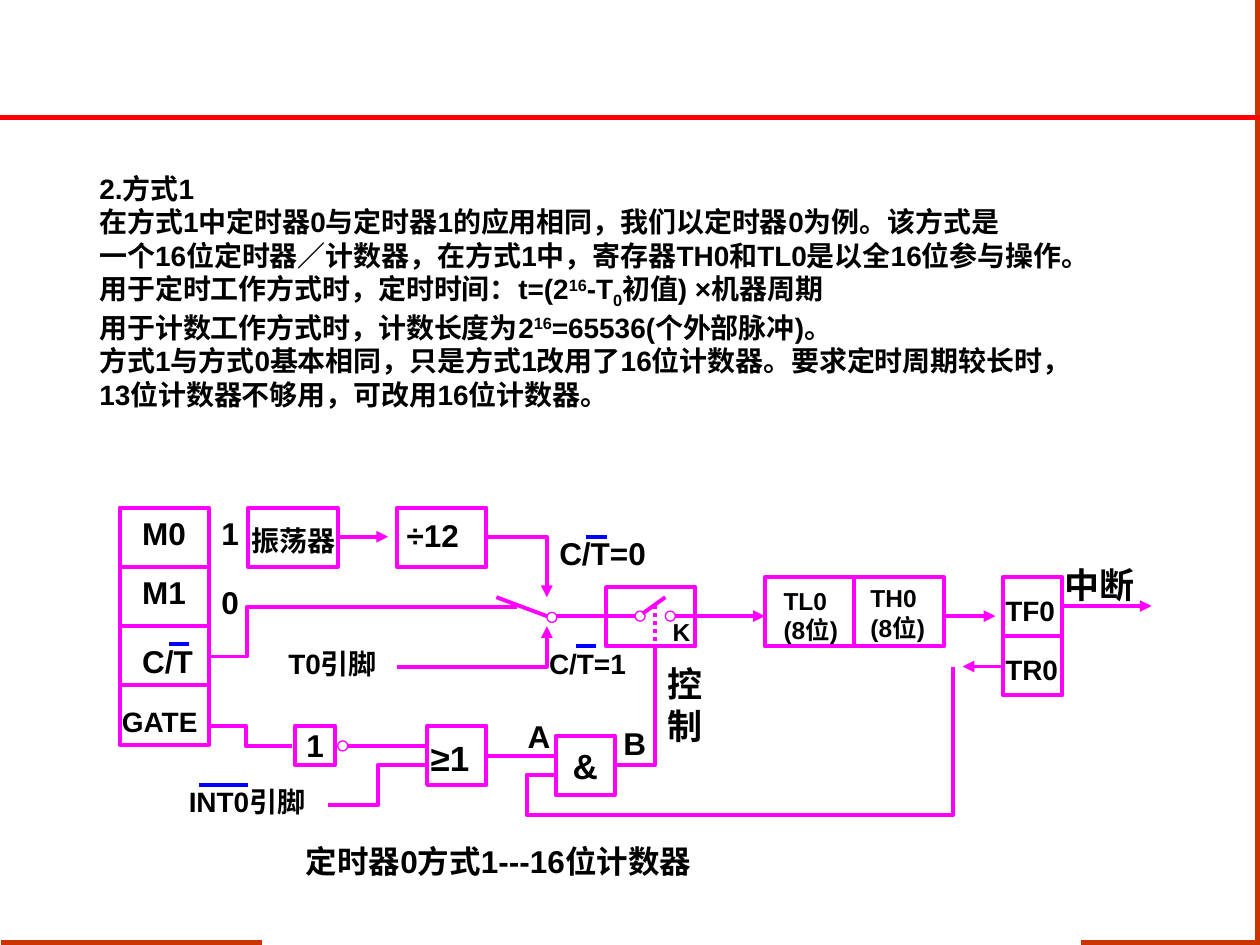
from dataclasses import dataclass
from typing import Optional

from lxml.etree import SubElement
from pptx import Presentation
from pptx.dml.color import RGBColor
from pptx.enum.dml import MSO_LINE
from pptx.enum.shapes import MSO_CONNECTOR, MSO_SHAPE
from pptx.enum.text import MSO_ANCHOR, MSO_AUTO_SIZE, PP_ALIGN
from pptx.oxml.ns import qn
from pptx.util import Emu, Pt

SCALE = 9144
COLORS = {"frame": "CC3300", "rule": "FF0000", "wire": "FF00FF", "overline": "0000FF", "text": "000000"}
FONT_NAME = "Arial"
SUPERSCRIPT, SUBSCRIPT = 30000, -25000
LABEL_SLACK = 6


@dataclass
class Box:
    left: int
    top: int
    width: int
    height: int
    text: str = ""
    size: int = 18
    kind: MSO_SHAPE = MSO_SHAPE.RECTANGLE
    weight: float = 2.25


@dataclass
class Label:
    left: int
    top: int
    width: int
    height: int
    text: str
    size: int = 18


@dataclass
class Wire:
    points: list[tuple[int, int]]
    arrow: bool = False
    color: str = "wire"
    weight: float = 2.25
    dash: Optional[MSO_LINE] = None


BODY = [
    [("2.方式1", 0)],
    [("在方式1中定时器0与定时器1的应用相同，我们以定时器0为例。该方式是", 0)],
    [("一个16位定时器／计数器，在方式1中，寄存器TH0和TL0是以全16位参与操作。", 0)],
    [("用于定时工作方式时，定时时间：t=(2", 0), ("16", SUPERSCRIPT), ("-T", 0), ("0", SUBSCRIPT),
     ("初值) ×机器周期", 0)],
    [("用于计数工作方式时，计数长度为2", 0), ("16", SUPERSCRIPT), ("=65536(个外部脉冲)。", 0)],
    [("方式1与方式0基本相同，只是方式1改用了16位计数器。要求定时周期较长时，", 0)],
    [("13位计数器不够用，可改用16位计数器。", 0)],
]

FRAME = [
    Wire([(208, 748), (1, 748)], color="frame", weight=3),
    Wire([(998, 750), (998, 0)], color="frame", weight=3),
    Wire([(996, 748), (858, 748)], color="frame", weight=3),
    Wire([(1000, 93), (0, 93)], color="rule", weight=3),
]

BOXES = [
    *[Box(95, 403 + 47 * row, 71, 47) for row in range(4)],
    *[Box(left, 403, 71, 47) for left in (197, 315)],
    Box(481, 466, 71, 47),
    *[Box(left, 458, 71, 55) for left in (607, 678)],
    *[Box(796, top, 47, 47) for top in (458, 505)],
    Box(339, 576, 47, 47),
    Box(441, 584, 47, 47, "&", 20),
    Box(234, 576, 32, 31, "1"),
    *[Box(left, top, 8, 8, kind=MSO_SHAPE.OVAL, weight=0.75)
      for left, top in ((268, 588), (434, 486), (504, 485), (528, 485))],
]

WIRES = [
    Wire([(268, 426), (308, 426)], arrow=True),
    Wire([(166, 521), (196, 521), (196, 482), (410, 482)]),
    Wire([(386, 426), (434, 426), (434, 474)], arrow=True),
    Wire([(441, 489), (504, 489)]),
    Wire([(315, 529), (434, 529), (434, 497)], arrow=True),
    Wire([(536, 489), (607, 489)], arrow=True),
    Wire([(166, 576), (195, 576), (195, 592), (232, 592)]),
    Wire([(276, 592), (339, 592)]),
    Wire([(339, 607), (300, 607), (300, 639), (260, 639)]),
    Wire([(386, 600), (441, 600)]),
    Wire([(520, 513), (520, 607), (489, 607)]),
    Wire([(441, 615), (418, 615), (418, 647), (756, 647), (756, 529)]),
    Wire([(796, 529), (764, 529)], arrow=True),
    Wire([(751, 489), (790, 489)], arrow=True),
    Wire([(394, 474), (434, 489)]),
    Wire([(528, 474), (510, 487)]),
    Wire([(520, 521), (520, 481)], dash=MSO_LINE.ROUND_DOT),
    Wire([(843, 481), (914, 481)], arrow=True),
    *[Wire([(start, top), (end, top)], color="overline")
      for start, end, top in ((465, 482, 426), (134, 150, 511), (457, 473, 513), (158, 197, 623))],
]

LABELS = [
    Label(103, 403, 54, 40, "M0"),
    Label(103, 450, 54, 40, "M1"),
    Label(103, 505, 60, 40, "C/T"),
    Label(87, 554, 81, 37, "GATE", 16),
    Label(190, 411, 86, 37, "振荡器", 16),
    Label(313, 405, 61, 40, "÷12"),
    Label(219, 508, 95, 37, "T0引脚", 16),
    Label(612, 460, 72, 57, "TL0\n(8位)", 14),
    Label(681, 458, 72, 57, "TH0\n(8位)", 14),
    Label(332, 580, 51, 44, "≥1", 20),
    Label(788, 466, 79, 37, "TF0", 16),
    Label(788, 513, 79, 37, "TR0", 16),
    Label(434, 419, 89, 40, "C/T=0"),
    Label(426, 508, 81, 37, "C/T=1", 16),
    Label(140, 618, 117, 37, "INT0引脚", 16),
    Label(524, 485, 34, 34, "K", 14),
    Label(409, 564, 38, 40, "A"),
    Label(485, 570, 38, 40, "B"),
    Label(166, 403, 34, 40, "1"),
    Label(166, 458, 34, 40, "0"),
    Label(520, 521, 48, 77, "控\n制", 20),
    Label(835, 442, 98, 44, "中断", 20),
    Label(233, 663, 349, 40, "定时器0方式1---16位计数器"),
]


def px(value: int) -> Emu:
    return Emu(value * SCALE)


def color(name: str) -> RGBColor:
    return RGBColor.from_string(COLORS[name])


def format_text(text_frame, size: int, alignment: PP_ALIGN = PP_ALIGN.LEFT) -> None:
    for paragraph in text_frame.paragraphs:
        paragraph.alignment = alignment
        for run in paragraph.runs:
            run.font.name = FONT_NAME
            run.font.size = Pt(size)
            run.font.bold = True
            run.font.color.rgb = color("text")


def draw_box(slide, box: Box) -> None:
    shape = slide.shapes.add_shape(box.kind, px(box.left), px(box.top), px(box.width), px(box.height))
    shape.shadow.inherit = False
    shape.fill.background()
    shape.line.color.rgb = color("wire")
    shape.line.width = Pt(box.weight)
    if box.text:
        text_frame = shape.text_frame
        text_frame.text = box.text
        text_frame.word_wrap = False
        text_frame.vertical_anchor = MSO_ANCHOR.MIDDLE
        format_text(text_frame, box.size, PP_ALIGN.CENTER)


def draw_wire(slide, wire: Wire) -> None:
    start, *rest = wire.points
    if len(rest) == 1:
        shape = slide.shapes.add_connector(MSO_CONNECTOR.STRAIGHT, *map(px, start + rest[0]))
        SubElement(shape._element.spPr, qn("a:effectLst"))
    else:
        builder = slide.shapes.build_freeform(*start, scale=SCALE)
        builder.add_line_segments(rest, close=False)
        shape = builder.convert_to_shape()
        shape.shadow.inherit = False
        shape.fill.background()
    shape.line.color.rgb = color(wire.color)
    shape.line.width = Pt(wire.weight)
    if wire.dash:
        shape.line.dash_style = wire.dash
    if wire.arrow:
        SubElement(shape.line._get_or_add_ln(), qn("a:tailEnd"), type="triangle")


def draw_label(slide, label: Label):
    shape = slide.shapes.add_textbox(
        px(label.left), px(label.top), px(label.width + LABEL_SLACK), px(label.height))
    text_frame = shape.text_frame
    text_frame.word_wrap = True
    text_frame.auto_size = MSO_AUTO_SIZE.NONE
    text_frame.text = label.text
    format_text(text_frame, label.size)
    return text_frame


def draw_body(slide) -> None:
    text_frame = draw_label(slide, Label(69, 131, 859, 227, "\n" * (len(BODY) - 1), 16))
    for paragraph, parts in zip(text_frame.paragraphs, BODY):
        for text, baseline in parts:
            run = paragraph.add_run()
            run.text = text
            if baseline:
                run.font._element.set("baseline", str(baseline))
    format_text(text_frame, 16)


def main() -> None:
    presentation = Presentation()
    presentation.slide_width, presentation.slide_height = px(1000), px(750)
    slide = presentation.slides.add_slide(presentation.slide_layouts[6])
    for wire in FRAME:
        draw_wire(slide, wire)
    draw_body(slide)
    for box in BOXES:
        draw_box(slide, box)
    for wire in WIRES:
        draw_wire(slide, wire)
    for label in LABELS:
        draw_label(slide, label)
    presentation.save("out.pptx")


if __name__ == "__main__":
    main()
